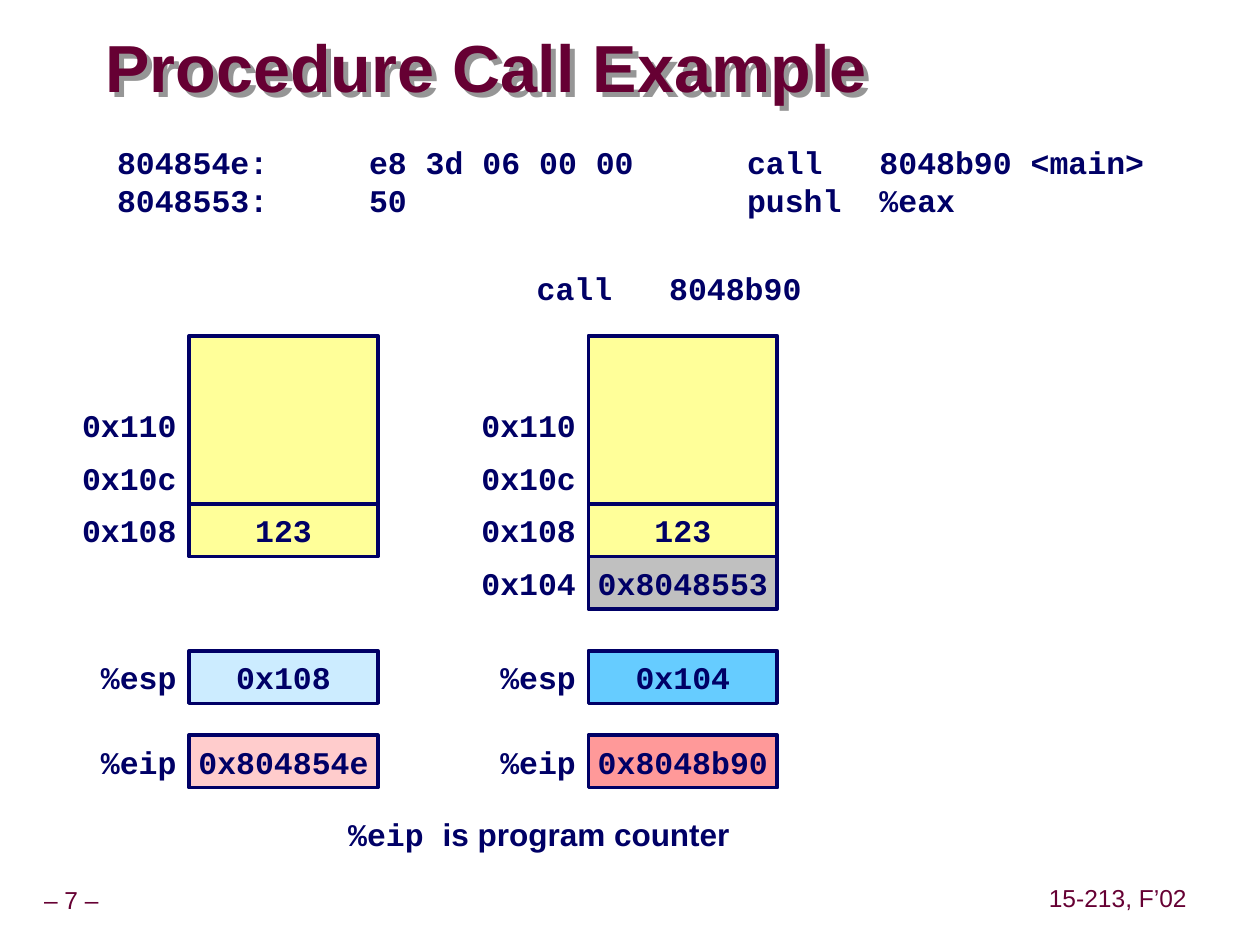
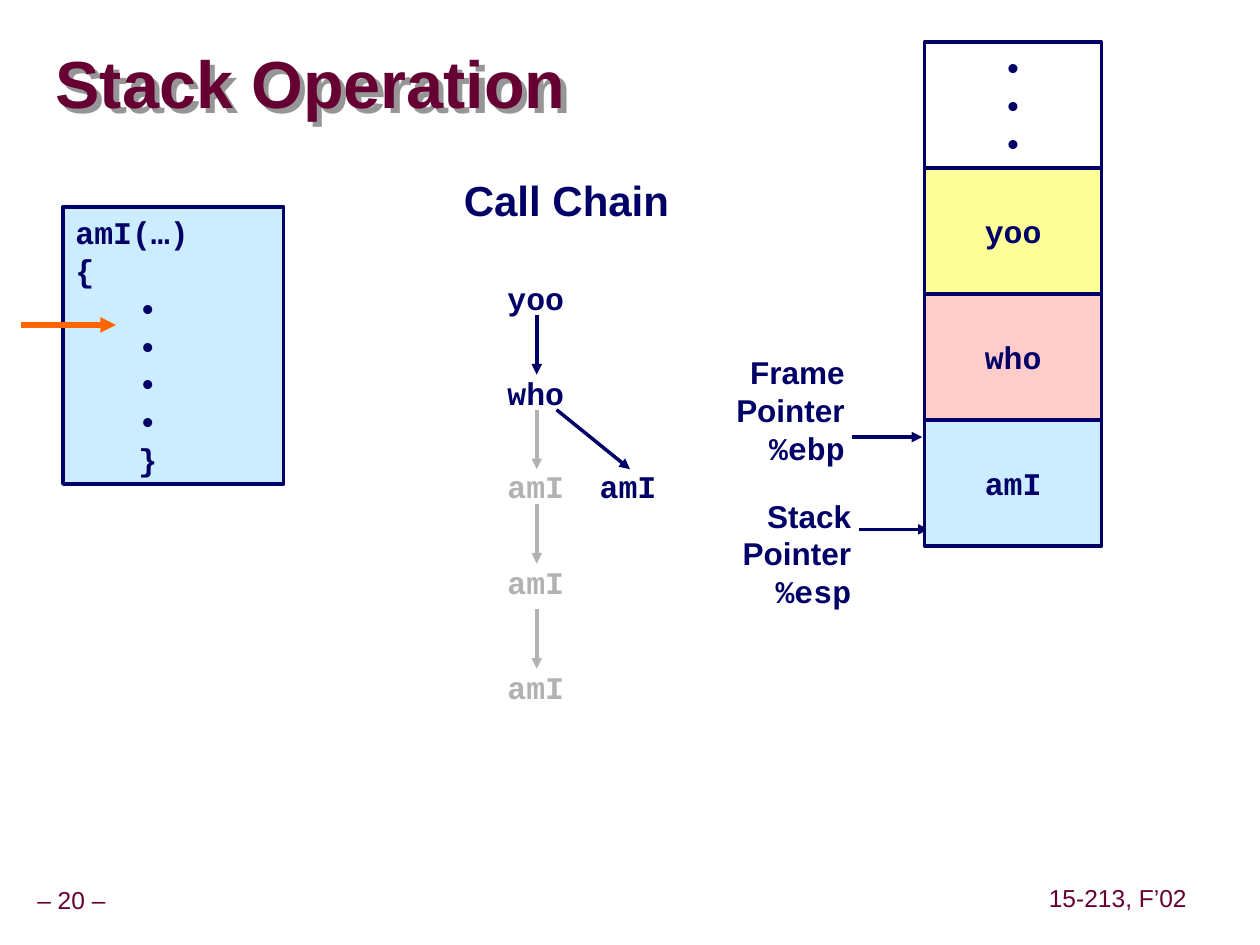
from dataclasses import dataclass

import pptx
import pptx.dml.color
import pptx.enum.shapes
import pptx.enum.text
import pptx.oxml.ns
import pptx.util
from lxml import etree

Cm, Pt = pptx.util.Cm, pptx.util.Pt
RGB = pptx.dml.color.RGBColor.from_string
qn = pptx.oxml.ns.qn
ALIGN, ANCHOR = pptx.enum.text.PP_ALIGN, pptx.enum.text.MSO_ANCHOR


@dataclass(frozen=True)
class Theme:
    sans: str = "Arial"
    mono: str = "Courier New"
    title_size: int = 38
    heading_size: int = 24
    body_size: int = 18
    footer_size: int = 14
    line_pitch: float = 1.2
    maroon: str = "660033"
    navy: str = "000066"
    white: str = "FFFFFF"
    yellow: str = "FFFF99"
    pink: str = "FFCCCC"
    red: str = "FF9999"
    pale_blue: str = "CCECFF"
    blue: str = "66CCFF"
    gray: str = "C0C0C0"
    faded: str = "B2B2B2"
    orange: str = "FF6600"
    shadow: str = "969696"


class Deck:
    """Holds the theme and the slide being built; lengths are centimetres."""

    def __init__(self, theme):
        self.theme = theme
        self.prs = pptx.Presentation()
        self.prs.slide_width, self.prs.slide_height = Cm(25.4), Cm(19.05)
        self.slide = None

    def new_slide(self, title, box, number):
        t = self.theme
        self.slide = self.prs.slides.add_slide(self.prs.slide_layouts[5])
        sp = self.slide.shapes.title
        for name, value in zip(("left", "top", "width", "height"), box):
            setattr(sp, name, Cm(value))
        self.fill_text(sp, [title], t.title_size, t.maroon, font=t.sans, pitch=0.87,
                       anchor=ANCHOR.MIDDLE, margins=(0, 0))
        sp.shadow.inherit = False
        effects = sp._element.spPr.find(qn("a:effectLst"))
        shadow = etree.SubElement(effects, qn("a:outerShdw"), dist="53882", dir="2700000",
                                  algn="ctr", rotWithShape="0")
        etree.SubElement(shadow, qn("a:srgbClr"), val=t.shadow)
        for text, left, top, width in ((f"– {number} –", 0, 17.78, 2.88),
                                       ("15-213, F’02", 21.01, 17.75, 3.05)):
            self.text([text], (left, top, width, 0.79), t.footer_size, t.maroon,
                      font=t.sans, bold=False, align=ALIGN.CENTER, pitch=0.9,
                      anchor=ANCHOR.MIDDLE, margins=(0.13, 0.13))

    def fill_text(self, sp, lines, size=None, color=None, font=None, bold=True,
                  align=ALIGN.LEFT, anchor=ANCHOR.TOP, margins=(0.25, 0.13),
                  wrap=True, pitch=None, tabs=(), levels=None):
        """Fill a shape; each line is a string or a list of (text, font) runs."""
        t = self.theme
        size, font = size or t.body_size, font or t.mono
        tf = sp.text_frame
        side, edge = map(Cm, margins)
        frame = {"margin_left": side, "margin_right": side, "margin_top": edge,
                 "margin_bottom": edge, "word_wrap": wrap, "vertical_anchor": anchor,
                 "auto_size": pptx.enum.text.MSO_AUTO_SIZE.NONE}
        for name, value in frame.items():
            setattr(tf, name, value)
        for i, line in enumerate(lines):
            p = tf.paragraphs[0] if i == 0 else tf.add_paragraph()
            if tabs:
                stops = etree.SubElement(p._p.get_or_add_pPr(), qn("a:tabLst"))
                for stop in tabs:
                    etree.SubElement(stops, qn("a:tab"), pos=str(Cm(stop)), algn="l")
            p.level = levels[i] if levels else 0
            p.alignment = align
            p.line_spacing = pitch or Pt(size * t.line_pitch)
            for text, face in [(line, font)] if isinstance(line, str) else line:
                r = p.add_run()
                r.text = text
                for name, value in {"name": face, "size": Pt(size), "bold": bold}.items():
                    setattr(r.font, name, value)
                r.font.color.rgb = RGB(color or t.navy)

    def text(self, lines, box, *args, wrap=False, **fmt):
        sp = self.slide.shapes.add_textbox(*map(Cm, box))
        self.fill_text(sp, lines, *args, wrap=wrap, **fmt)

    def rect(self, lines, box, fill=None, outlined=True, **fmt):
        sp = self.slide.shapes.add_shape(
            pptx.enum.shapes.MSO_SHAPE.RECTANGLE, *map(Cm, box))
        sp.shadow.inherit = False
        if fill:
            sp.fill.solid()
            sp.fill.fore_color.rgb = RGB(fill)
        else:
            sp.fill.background()
        if outlined:
            sp.line.color.rgb = RGB(self.theme.navy)
            sp.line.width = Pt(2)
        else:
            sp.line.fill.background()
        if lines:
            self.fill_text(sp, lines, **{"align": ALIGN.CENTER, "anchor": ANCHOR.MIDDLE,
                                         "wrap": False, **fmt})

    def arrow(self, start, end, color=None, width=2):
        line = self.slide.shapes.add_connector(
            pptx.enum.shapes.MSO_CONNECTOR.STRAIGHT, *map(Cm, (*start, *end)))
        line.line.color.rgb = RGB(color or self.theme.navy)
        line.line.width = Pt(width)
        spPr = line._element.spPr
        etree.SubElement(spPr.find(qn("a:ln")), qn("a:tailEnd"), type="triangle")
        etree.SubElement(spPr, qn("a:effectLst"))


def draw_machine_state(deck, left, words, registers):
    """Draw one stack with its addresses, and the two registers below it."""
    t = deck.theme
    width, row, stack_top, first_word = 3.81, 1.06, 6.77, 10.16
    addresses = ("0x110", "0x10c", "0x108", "0x104")[:2 + len(words)]
    labels = [(a, first_word + (i - 2) * row) for i, a in enumerate(addresses)]
    cells = [(*word, first_word + i * row) for i, word in enumerate(words)]
    for (name, value, fill), top in zip(registers, (13.12, 14.82)):
        labels.append((name, top))
        cells.append((value, fill, top))
    for label, top in labels:
        deck.rect([label], (left, top, width, row), t.white, outlined=False,
                  align=ALIGN.RIGHT)
    deck.rect([], (left + width, stack_top, width, first_word - stack_top), t.yellow)
    for value, fill, top in cells:
        deck.rect([value], (left + width, top, width, row), fill)


def procedure_call_slide(deck):
    t = deck.theme
    deck.new_slide("Procedure Call Example", (2.12, 0.64, 22.22, 1.59), 7)
    draw_machine_state(deck, 0, [("123", t.yellow)],
                       [("%esp", "0x108", t.pale_blue), ("%eip", "0x804854e", t.pink)])
    draw_machine_state(deck, 8.05, [("123", t.yellow), ("0x8048553", t.gray)],
                       [("%esp", "0x104", t.blue), ("%eip", "0x8048b90", t.red)])
    deck.text(["804854e:\te8 3d 06 00 00\tcall\t8048b90 <main>",
               "8048553:\t50\tpushl\t%eax"],
              (2.11, 2.75, 21.6, 1.78), tabs=(5.08, 12.7, 15.37), wrap=True)
    deck.text(["call\t8048b90"], (10.57, 5.29, 5.84, 1.02), tabs=(2.67,), wrap=True)
    deck.text([[("%eip ", t.mono), ("is program counter", t.sans)]],
              (6.77, 16.3, 8.2, 1.02))


def draw_pointer(deck, name, register, left, top, arrow_y):
    t = deck.theme
    arrow_left = left + 2.6
    deck.arrow((arrow_left, arrow_y), (arrow_left + 1.41, arrow_y))
    deck.text([name, "Pointer", [(register, t.mono)]], (left, top, 2.7, 2.54),
              font=t.sans, align=ALIGN.RIGHT)


def draw_call_chain(deck):
    t = deck.theme
    left, width, height, axis, arrow_length = 9.98, 1.68, 1.02, 10.82, 1.2
    deck.text(["Call Chain"], (9.09, 3.39, 4.66, 1.27), t.heading_size,
              font=t.sans, align=ALIGN.CENTER)
    calls = (("yoo", 5.5, t.navy), ("who", 7.41, t.navy), ("amI", 9.28, t.faded),
             ("amI", 11.22, t.faded), ("amI", 13.34, t.faded))
    for name, top, color in calls:
        deck.text([name], (left, top, width, height), color=color)
    arrows = ((6.35, t.navy), (8.26, t.faded), (10.16, t.faded), (12.28, t.faded))
    for top, color in arrows:
        deck.arrow((axis, top), (axis, top + arrow_length), color)
    deck.text(["amI"], (11.84, 9.28, width, height))
    deck.arrow((11.22, 8.26), (12.7, 8.26 + arrow_length))


def stack_operation_slide(deck):
    t = deck.theme
    deck.new_slide("Stack Operation", (1.12, 0.69, 24.2, 2.16), 20)
    draw_pointer(deck, "Stack", "%esp", 14.71, 9.88, 10.67)
    frames = ((["•"] * 3, None), (["yoo"], t.yellow), (["who"], t.pink),
              (["amI"], t.pale_blue))
    for i, (lines, fill) in enumerate(frames):
        deck.rect(lines, (18.64, 0.85 + i * 2.54, 3.57, 2.54), fill)
    draw_pointer(deck, "Frame", "%ebp", 14.58, 6.99, 8.81)
    draw_call_chain(deck)
    deck.rect(["amI(…)", "{", *["•"] * 4, "}"], (1.27, 4.17, 4.45, 5.59), t.pale_blue,
              align=ALIGN.LEFT, anchor=ANCHOR.TOP, wrap=True, levels=[0, 0] + [1] * 5)
    deck.arrow((0.43, 6.55), (2.34, 6.55), t.orange, 3)


def main():
    deck = Deck(Theme())
    procedure_call_slide(deck)
    stack_operation_slide(deck)
    deck.prs.save("out.pptx")


if __name__ == "__main__":
    main()
